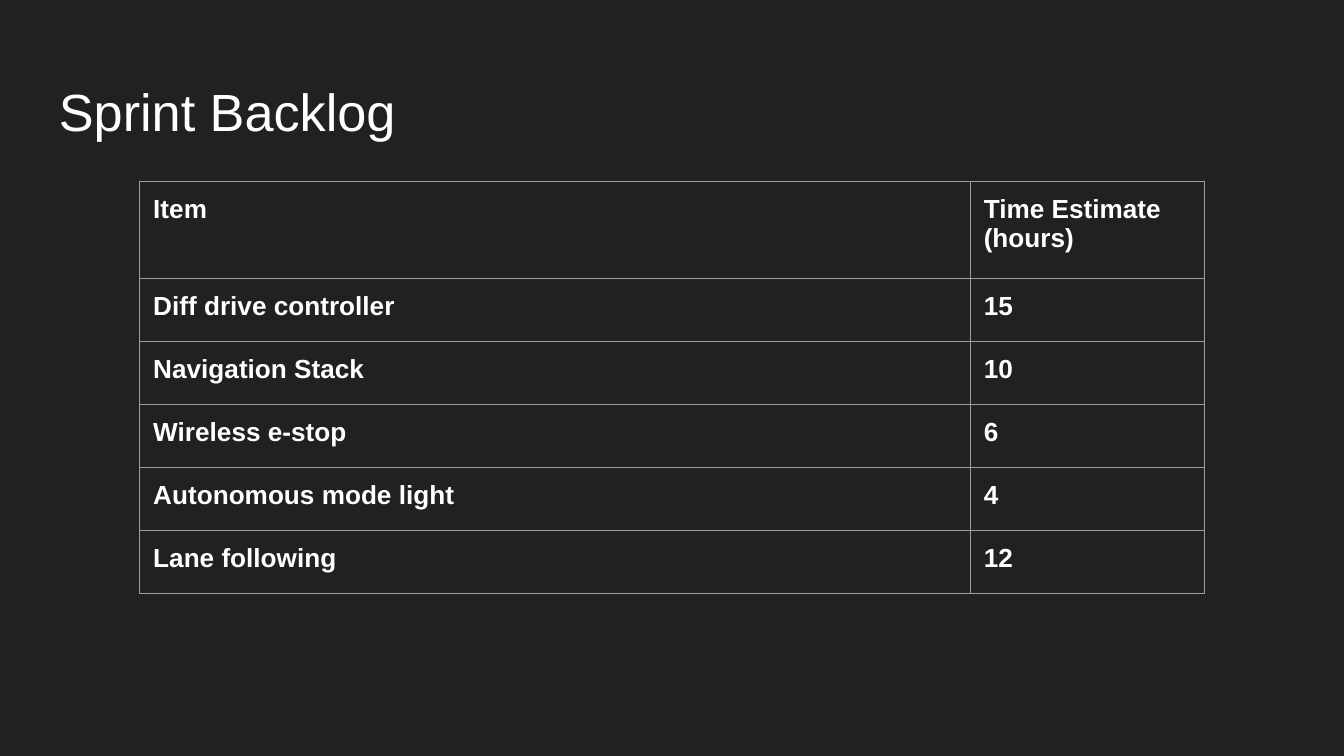
from dataclasses import dataclass

from lxml import etree
from pptx import Presentation
from pptx.dml.color import RGBColor
from pptx.enum import text
from pptx.oxml import ns
from pptx.util import Inches, Pt


@dataclass(frozen=True)
class Theme:
    font: str = "Arial"
    background: str = "212121"
    ink: str = "FFFFFF"
    border: str = "9E9E9E"
    border_width: float = 0.75
    title_size: int = 28
    cell_size: int = 14
    inset: float = 0.1


@dataclass(frozen=True)
class BacklogRow:
    item: str
    estimate: str
    height: float = 0.47


THEME = Theme()
COLUMN_WIDTHS = (6.18, 1.74)
BACKLOG = (
    BacklogRow("Item", "Time Estimate (hours)", 0.72),
    BacklogRow("Diff drive controller", "15"),
    BacklogRow("Navigation Stack", "10"),
    BacklogRow("Wireless e-stop", "6"),
    BacklogRow("Autonomous mode light", "4"),
    BacklogRow("Lane following", "12"),
)


def set_insets(target) -> None:
    """Give a cell or a text frame the same margin on every side."""
    target.margin_left = target.margin_right = Inches(THEME.inset)
    target.margin_top = target.margin_bottom = Inches(THEME.inset)


def write_text(frame, words: str, size: int, bold: bool = False) -> None:
    frame.text = words
    frame.word_wrap = True
    for paragraph in frame.paragraphs:
        for span in paragraph.runs:
            span.font.name = THEME.font
            span.font.size = Pt(size)
            span.font.bold = bold
            span.font.color.rgb = RGBColor.from_string(THEME.ink)


def draw_borders(cell) -> None:
    properties = cell._tc.get_or_add_tcPr()
    for side in ("lnL", "lnR", "lnT", "lnB"):
        line = etree.SubElement(properties, ns.qn(f"a:{side}"),
                                w=str(Pt(THEME.border_width)))
        fill = etree.SubElement(line, ns.qn("a:solidFill"))
        etree.SubElement(fill, ns.qn("a:srgbClr"), val=THEME.border)


def draw_title(page, words: str) -> None:
    box = page.shapes.add_textbox(Inches(0.34), Inches(0.49),
                                  Inches(9.32), Inches(0.63))
    frame = box.text_frame
    set_insets(frame)
    frame.vertical_anchor = text.MSO_ANCHOR.TOP
    write_text(frame, words, THEME.title_size)


def draw_backlog(page, rows: tuple[BacklogRow, ...]) -> None:
    table = page.shapes.add_table(
        len(rows), len(COLUMN_WIDTHS), Inches(1.04), Inches(1.35),
        Inches(sum(COLUMN_WIDTHS)), Inches(sum(row.height for row in rows)),
    ).table
    table.first_row = table.horz_banding = False
    for column, width in zip(table.columns, COLUMN_WIDTHS):
        column.width = Inches(width)
    for table_row, row in zip(table.rows, rows):
        table_row.height = Inches(row.height)
        for cell, words in zip(table_row.cells, (row.item, row.estimate)):
            set_insets(cell)
            draw_borders(cell)
            cell.fill.background()
            write_text(cell.text_frame, words, THEME.cell_size, bold=True)


def main() -> None:
    # Deck in 16:9 and dark page
    deck = Presentation()
    deck.slide_width = Inches(10)
    deck.slide_height = Inches(10 * 9 / 16)
    page = deck.slides.add_slide(deck.slide_layouts[6])
    page.background.fill.solid()
    page.background.fill.fore_color.rgb = RGBColor.from_string(THEME.background)

    # Heading and table
    draw_title(page, "Sprint Backlog")
    draw_backlog(page, BACKLOG)
    deck.save("out.pptx")


if __name__ == "__main__":
    main()
